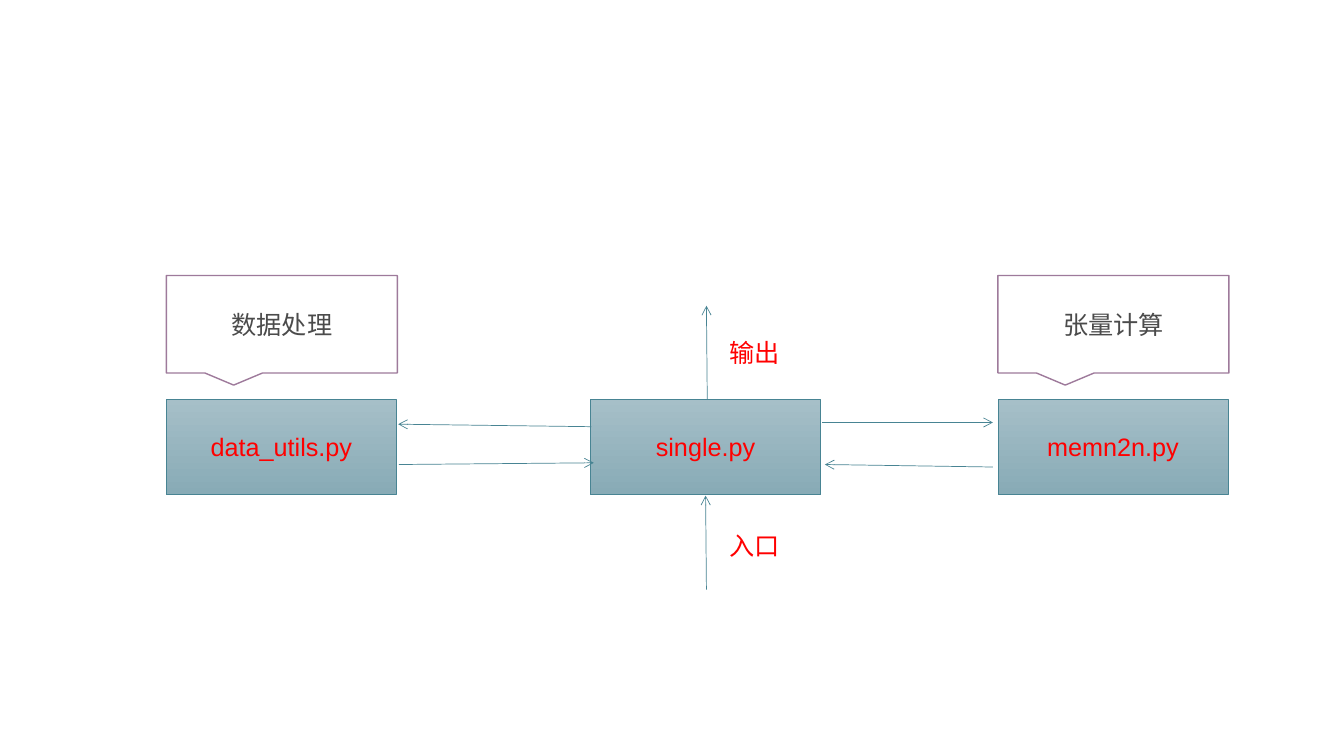
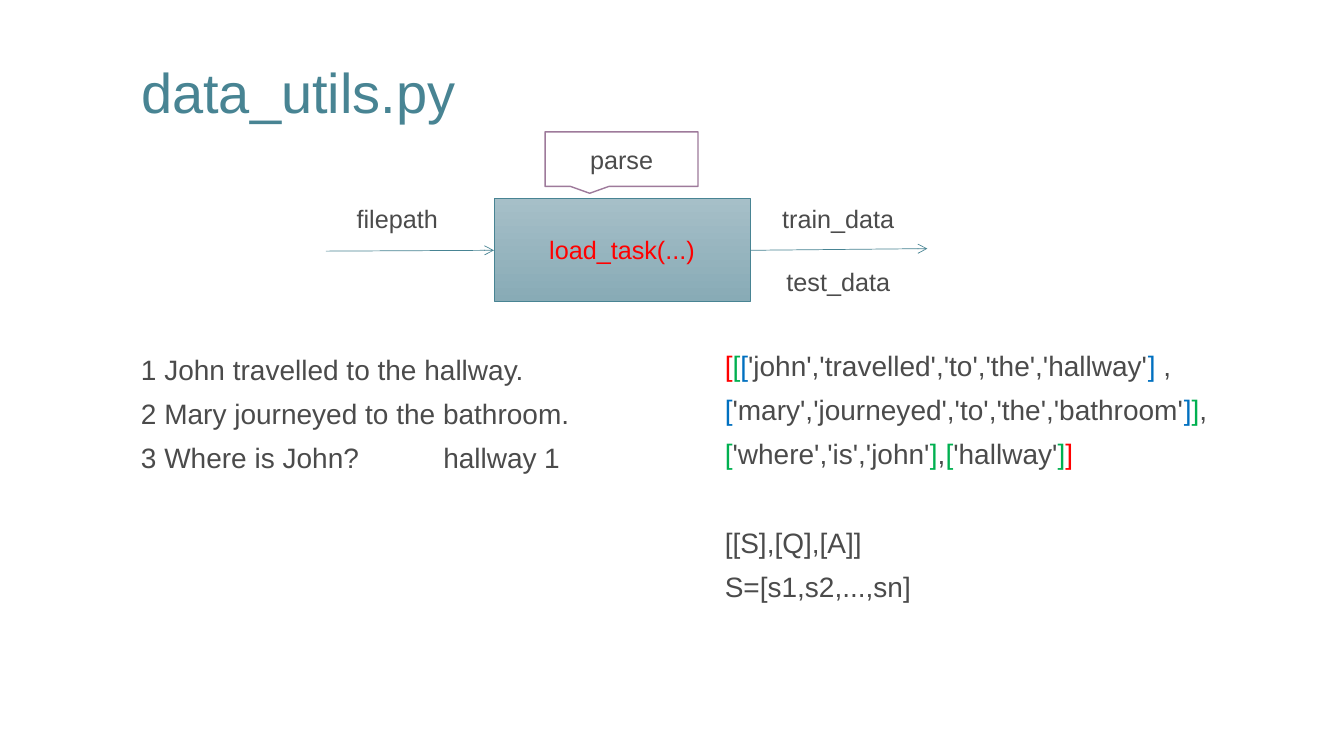
from lxml.etree import SubElement
from pptx import Presentation
from pptx.dml.color import RGBColor
from pptx.enum.shapes import MSO_CONNECTOR, MSO_SHAPE
from pptx.enum.text import MSO_ANCHOR, PP_ALIGN
from pptx.oxml.ns import qn
from pptx.util import Emu, Pt

COLUMNS, ROWS, CELL = 160, 90, 76200
FONT = "Arial"
TEAL, PLUM, GRAY, WHITE = "488493", "9E7A9B", "4B4B4B", "FFFFFF"
RED, GREEN, BLUE = "FF0000", "00B050", "0070C0"
GRADIENT = ("A6BFC8", "88ABB6")
TITLE_ONLY, BLANK = 5, 6
LABEL_HEIGHT = 4.8


def cells(count):
    return Emu(round(count * CELL))


def color(value):
    return RGBColor.from_string(value)


def place(item, area):
    item.left, item.top, item.width, item.height = map(cells, area)


def add_span(para, text, size, ink):
    span = para.add_run()
    span.text = text
    span.font.name = FONT
    span.font.size = Pt(size)
    span.font.color.rgb = color(ink)


def add_line_of_text(box, text, ink, align=PP_ALIGN.CENTER):
    para = box.text_frame.paragraphs[0]
    para.alignment = align
    add_span(para, text, 18, ink)


def add_outlined(page, kind, area, line, width):
    box = page.shapes.add_shape(kind, *map(cells, area))
    box.shadow.inherit = False
    box.line.color.rgb = color(line)
    box.line.width = Pt(width)
    box.text_frame.vertical_anchor = MSO_ANCHOR.MIDDLE
    return box


def add_module(page, text, area):
    box = add_outlined(page, MSO_SHAPE.RECTANGLE, area, TEAL, 0.5)
    box.fill.gradient()
    box.fill.gradient_angle = 270
    for stop, shade in zip(box.fill.gradient_stops, GRADIENT):
        stop.color.rgb = color(shade)
    add_line_of_text(box, text, RED)


def add_callout(page, text, area):
    box = add_outlined(page, MSO_SHAPE.RECTANGULAR_CALLOUT, area, PLUM, 1)
    box.fill.solid()
    box.fill.fore_color.rgb = color(WHITE)
    add_line_of_text(box, text, GRAY)


def add_arrow(page, start, end):
    arrow = page.shapes.add_connector(
        MSO_CONNECTOR.STRAIGHT, *map(cells, start + end))
    arrow.line.color.rgb = color(TEAL)
    arrow.line.width = Pt(0.5)
    SubElement(arrow.line._get_or_add_ln(), qn("a:tailEnd"), type="arrow")
    SubElement(arrow._element.spPr, qn("a:effectLst"))


def add_label(page, text, left, top, width, ink, align):
    box = page.shapes.add_textbox(*map(cells, (left, top, width, LABEL_HEIGHT)))
    box.text_frame.word_wrap = True
    add_line_of_text(box, text, ink, align)


def add_lines(page, area, lines, tabs=()):
    box = page.shapes.add_textbox(*map(cells, area))
    frame = box.text_frame
    frame.word_wrap = True
    for index, (gap, spans) in enumerate(lines):
        para = frame.add_paragraph() if index else frame.paragraphs[0]
        para.line_spacing = 0.9
        para.space_before = Pt(gap)
        if tabs:
            stops = SubElement(para._p.get_or_add_pPr(), qn("a:tabLst"))
            for position in tabs:
                SubElement(stops, qn("a:tab"), pos=str(cells(position)), algn="l")
        for text, ink in spans:
            add_span(para, text, 20, ink)


def set_title(page, text):
    title = page.shapes.title
    place(title, (15.6, 5.5, 128.8, 11.8))
    title.text_frame.vertical_anchor = MSO_ANCHOR.MIDDLE
    para = title.text_frame.paragraphs[0]
    para.alignment = PP_ALIGN.LEFT
    para.line_spacing = 0.9
    add_span(para, text, 40, TEAL)


def build_overview(deck):
    page = deck.slides.add_slide(deck.slide_layouts[BLANK])
    modules = (("data_utils.py", 19.8, "数据处理"),
               ("single.py", 70.3, None),
               ("memn2n.py", 118.8, "张量计算"))
    for name, left, role in modules:
        add_module(page, name, (left, 47.5, 27.4, 11.4))
        if role:
            add_callout(page, role, (left, 32.8, 27.5, 11.6))
    for start, end in (((84.1, 70.2), (84, 59)),
                       ((84.2, 47.5), (84.1, 36.4)),
                       ((70.4, 50.8), (47.4, 50.5)),
                       ((47.5, 55.3), (70.7, 55.1)),
                       ((97.9, 50.3), (118.2, 50.3)),
                       ((118.2, 55.6), (98.2, 55.3))):
        add_arrow(page, start, end)
    for text, top in (("输出", 39.6), ("入口", 62.5)):
        add_label(page, text, 85.7, top, 9.5, RED, PP_ALIGN.LEFT)


def build_data_utils(deck):
    page = deck.slides.add_slide(deck.slide_layouts[TITLE_ONLY])
    set_title(page, "data_utils.py")
    add_module(page, "load_task(...)", (58.8, 23.6, 30.5, 12.3))
    add_callout(page, "parse", (64.9, 15.7, 18.2, 6.5))
    add_arrow(page, (38.8, 29.9), (58.8, 29.8))
    add_arrow(page, (89.3, 29.8), (110.4, 29.6))
    for text, left, top in (("filepath", 38.2, 23.6),
                            ("train_data", 90.7, 23.6),
                            ("test_data", 90.7, 31.1)):
        add_label(page, text, left, top, 18.2, GRAY, PP_ALIGN.CENTER)
    add_lines(page, (15.6, 41.8, 66, 18), (
        (0, [("1 John travelled to the hallway.", GRAY)]),
        (10, [("2 Mary journeyed to the bathroom.", GRAY)]),
        (10, [("3 Where is John?\thallway\t1", GRAY)]),
    ), tabs=(36, 48))
    add_lines(page, (85.1, 41.3, 68, 42.8), (
        (0, [("[", RED), ("[", GREEN), ("[", BLUE),
             ("'john','travelled','to','the','hallway'", GRAY),
             ("]", BLUE), (" ,", GRAY)]),
        (10, [("[", BLUE), ("'mary','journeyed','to','the','bathroom'", GRAY),
              ("]", BLUE), ("]", GREEN), (",", GRAY)]),
        (10, [("[", GREEN), ("'where','is','john'", GRAY), ("]", GREEN),
              (",", GRAY), ("[", GREEN), ("'hallway'", GRAY),
              ("]", GREEN), ("]", RED)]),
        (42, [("[[S],[Q],[A]]", GRAY)]),
        (10, [("S=[s1,s2,...,sn]", GRAY)]),
    ))


def main():
    deck = Presentation()
    deck.slide_width, deck.slide_height = cells(COLUMNS), cells(ROWS)
    build_overview(deck)
    build_data_utils(deck)
    deck.save("out.pptx")


if __name__ == "__main__":
    main()
